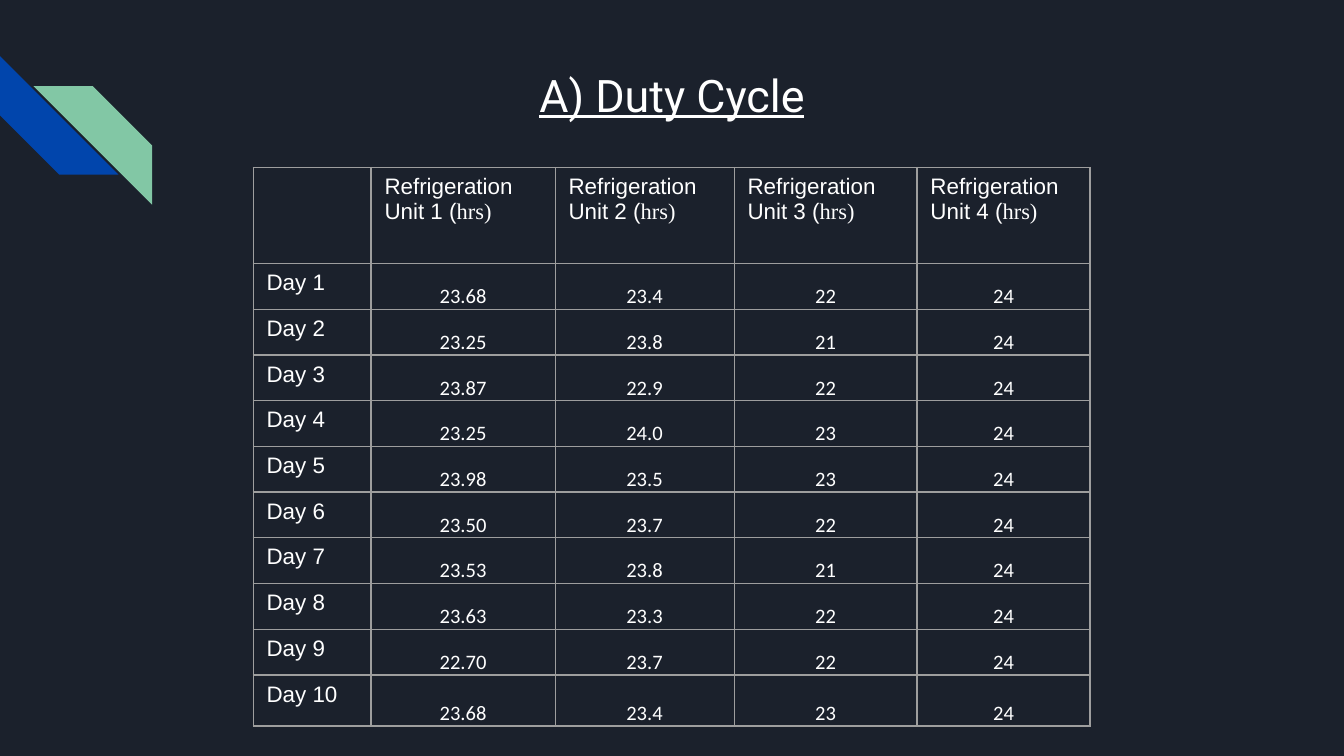
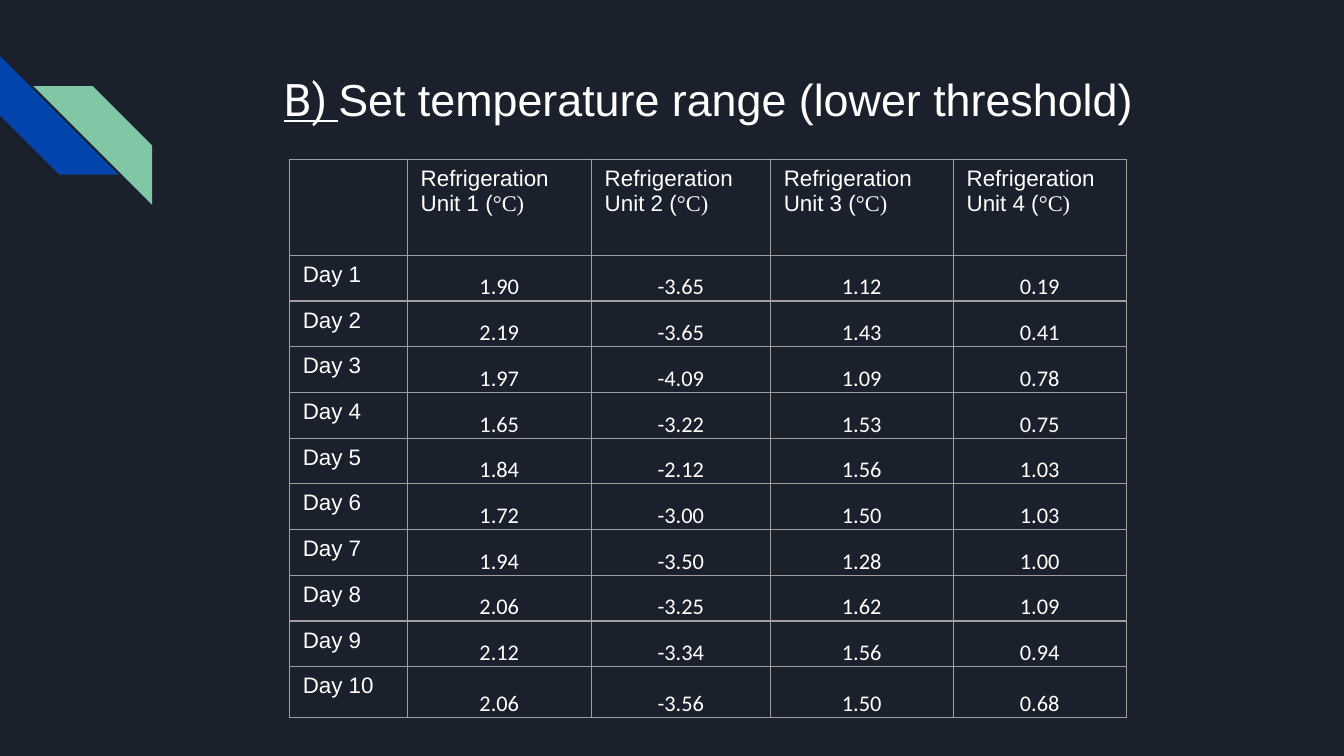
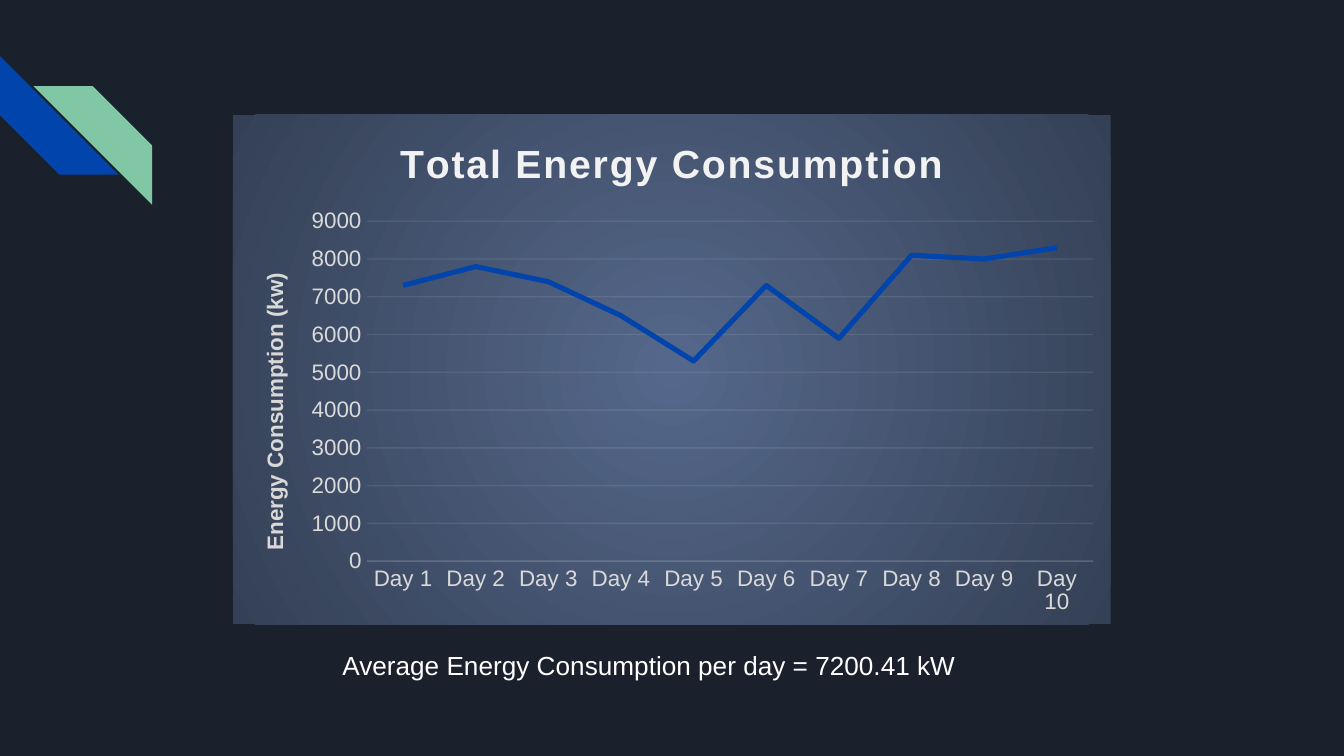
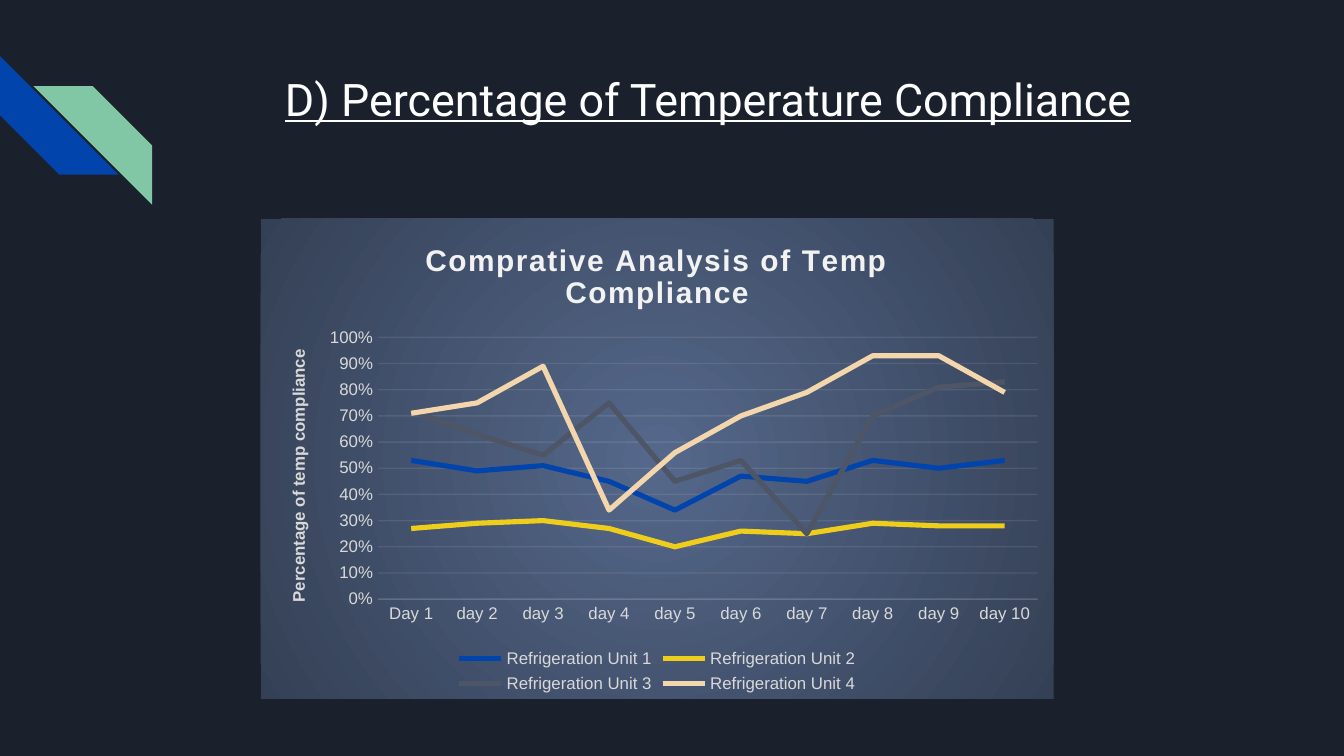
from lxml import etree
from pptx import Presentation
from pptx.chart.data import CategoryChartData
from pptx.dml.color import RGBColor
from pptx.enum.chart import XL_CHART_TYPE, XL_LEGEND_POSITION, XL_MARKER_STYLE, XL_TICK_MARK
from pptx.enum.shapes import MSO_SHAPE
from pptx.enum.text import MSO_ANCHOR, MSO_AUTO_SIZE, PP_ALIGN
from pptx.oxml import parse_xml
from pptx.util import Pt

CENTER = PP_ALIGN.CENTER
TOP, BOTTOM = MSO_ANCHOR.TOP, MSO_ANCHOR.BOTTOM
LINE = XL_CHART_TYPE.LINE
STRIPE = MSO_SHAPE.DIAGONAL_STRIPE
NO_TICK = XL_TICK_MARK.NONE
NO_MARKER = XL_MARKER_STYLE.NONE
LEGEND_BOTTOM = XL_LEGEND_POSITION.BOTTOM

COLORS = {
    "navy": "1B212C", "blue": "0145AC", "green": "82C7A5", "yellow": "EECE1A",
    "slate": "4E5567", "sand": "F4D6AD", "white": "FFFFFF", "border": "9E9E9E",
    "label": "D9D9D9", "chart_title": "F2F2F2",
    "glow": "55688B", "edge": "344055",
}
SERIES_COLORS = ["blue", "yellow", "slate", "sand"]
HEADING, SANS, SERIF, NUMBERS = "Roboto", "Arial", "Times New Roman", "Calibri"
NS_A = "http://schemas.openxmlformats.org/drawingml/2006/main"
NS_C = "http://schemas.openxmlformats.org/drawingml/2006/chart"

# Table grid, in points
COL_WIDTHS = [63.2, 98.6, 95.9, 98, 92.7]
ROW_HEIGHTS = [51.5] + [24.5] * 9 + [27.3]

UNITS = [f"Refrigeration Unit {n}" for n in range(1, 5)]
DAYS = [f"Day {n}" for n in range(1, 11)]

DUTY_HOURS = [
    ["23.68", "23.4", "22", "24"], ["23.25", "23.8", "21", "24"],
    ["23.87", "22.9", "22", "24"], ["23.25", "24.0", "23", "24"],
    ["23.98", "23.5", "23", "24"], ["23.50", "23.7", "22", "24"],
    ["23.53", "23.8", "21", "24"], ["23.63", "23.3", "22", "24"],
    ["22.70", "23.7", "22", "24"], ["23.68", "23.4", "23", "24"],
]
LOWER_TEMPS = [
    ["1.90", "-3.65", "1.12", "0.19"], ["2.19", "-3.65", "1.43", "0.41"],
    ["1.97", "-4.09", "1.09", "0.78"], ["1.65", "-3.22", "1.53", "0.75"],
    ["1.84", "-2.12", "1.56", "1.03"], ["1.72", "-3.00", "1.50", "1.03"],
    ["1.94", "-3.50", "1.28", "1.00"], ["2.06", "-3.25", "1.62", "1.09"],
    ["2.12", "-3.34", "1.56", "0.94"], ["2.06", "-3.56", "1.50", "0.68"],
]
ENERGY = [7300, 7800, 7400, 6500, 5300, 7300, 5900, 8100, 8000, 8300]
COMPLIANCE = [
    [0.53, 0.49, 0.51, 0.45, 0.34, 0.47, 0.45, 0.53, 0.5, 0.53],
    [0.27, 0.29, 0.3, 0.27, 0.2, 0.26, 0.25, 0.29, 0.28, 0.28],
    [0.72, 0.63, 0.55, 0.75, 0.45, 0.53, 0.25, 0.7, 0.81, 0.83],
    [0.71, 0.75, 0.89, 0.34, 0.56, 0.7, 0.79, 0.93, 0.93, 0.79],
]


def rgb(name):
    return RGBColor.from_string(COLORS[name])


def style_font(font, size, color, name=SANS, bold=False):
    font.size, font.name, font.bold = Pt(size), name, bold
    font.color.rgb = rgb(color)


def add_run(p, text, size, name=SANS, color="white", bold=False, underline=False):
    r = p.add_run()
    r.text = text
    style_font(r.font, size, color, name, bold)
    if underline:
        r.font.underline = True


# Shared look: background and corner stripes live on the layout
def add_stripe(slide, layout, number, left, top, color, rotation=0, flip=False):
    sp = slide.shapes.add_shape(STRIPE, Pt(left), Pt(top), Pt(63.5), Pt(63.5))
    sp.shadow.inherit = False
    sp.fill.solid()
    sp.fill.fore_color.rgb = rgb(color)
    sp.line.fill.background()
    sp.rotation = rotation
    if flip:
        sp.element.xpath(".//a:xfrm")[0].set("flipH", "1")
    sp.element.xpath(".//p:cNvPr")[0].set("id", str(100 + number))
    layout.shapes.element.append(sp.element)


def style_layout(slide, layout):
    layout.background.fill.solid()
    layout.background.fill.fore_color.rgb = rgb("navy")
    add_stripe(slide, layout, 1, 0, 30, "blue", rotation=270)
    add_stripe(slide, layout, 2, 18, 46.2, "green", flip=True)


def set_title(slide, left, top, runs):
    """Fill the title from (text, font, underlined) runs."""
    sp = slide.shapes.title
    sp.left, sp.top, sp.width, sp.height = Pt(left), Pt(top), Pt(554.4), Pt(72)
    tf = sp.text_frame
    tf.word_wrap, tf.auto_size, tf.vertical_anchor = True, MSO_AUTO_SIZE.NONE, TOP
    tf.margin_left = tf.margin_right = tf.margin_top = tf.margin_bottom = Pt(7.2)
    p = tf.paragraphs[0]
    p.alignment = CENTER
    for text, font, underlined in runs:
        add_run(p, text, 24, font, underline=underlined)


# Tables
def add_borders(tc_pr):
    for i, side in enumerate(("lnL", "lnR", "lnT", "lnB")):
        ln = etree.Element(f"{{{NS_A}}}{side}", w=str(Pt(0.75)))
        fill = etree.SubElement(ln, f"{{{NS_A}}}solidFill")
        etree.SubElement(fill, f"{{{NS_A}}}srgbClr", val=COLORS["border"])
        tc_pr.insert(i, ln)


def fill_number(cell, text, size):
    cell.vertical_anchor = BOTTOM
    cell.margin_left = cell.margin_right = cell.margin_top = Pt(0.75)
    cell.margin_bottom = 0
    p = cell.text_frame.paragraphs[0]
    p.alignment = CENTER
    add_run(p, text, size, NUMBERS)


def add_unit_table(slide, left, top, measure, rows, number_size):
    frame = slide.shapes.add_table(len(ROW_HEIGHTS), len(COL_WIDTHS), Pt(left), Pt(top),
                                   Pt(sum(COL_WIDTHS)), Pt(sum(ROW_HEIGHTS)))
    table = frame.table
    table.first_row = table.horz_banding = False
    for column, width in zip(table.columns, COL_WIDTHS):
        column.width = Pt(width)
    for row, height in zip(table.rows, ROW_HEIGHTS):
        row.height = Pt(height)
    for cell in table.iter_cells():
        cell.fill.background()

    for c, unit in enumerate(UNITS, 1):
        p = table.cell(0, c).text_frame.paragraphs[0]
        add_run(p, f"{unit} (", 12)
        add_run(p, f"{measure})", 12, SERIF)
    for r, (day, values) in enumerate(zip(DAYS, rows), 1):
        add_run(table.cell(r, 0).text_frame.paragraphs[0], day, 12)
        for c, value in enumerate(values, 1):
            fill_number(table.cell(r, c), value, number_size)
    for tc_pr in frame.element.xpath(".//a:tcPr"):
        add_borders(tc_pr)


# Charts
def add_glow(chart):
    """Give the chart area a radial gradient without an outline."""
    sp_pr = parse_xml(
        f'<c:spPr xmlns:c="{NS_C}" xmlns:a="{NS_A}"><a:gradFill><a:gsLst>'
        f'<a:gs pos="0"><a:srgbClr val="{COLORS["glow"]}"/></a:gs>'
        f'<a:gs pos="100000"><a:srgbClr val="{COLORS["edge"]}"/></a:gs></a:gsLst>'
        '<a:path path="circle"><a:fillToRect l="50000" t="50000" r="50000" b="50000"/>'
        '</a:path></a:gradFill><a:ln><a:noFill/></a:ln></c:spPr>')
    chart.element.xpath("c:chart")[0].addnext(sp_pr)


def style_axis(axis, size):
    axis.major_tick_mark = axis.minor_tick_mark = NO_TICK
    style_font(axis.tick_labels.font, size, "label")


def style_faint_line(line):
    line.color.rgb = rgb("chart_title")
    line.width = Pt(0.75)


def add_line_chart(slide, box, title, title_size, axis_title, label_size,
                   days, series, top_value, step, number_format):
    data = CategoryChartData()
    data.categories = days
    for name, values in series:
        data.add_series(name, values)
    chart = slide.shapes.add_chart(LINE, *map(Pt, box), data).chart
    style_font(chart.font, 10, "navy")
    add_glow(chart)

    chart.has_title = True
    chart.chart_title.include_in_layout = False
    add_run(chart.chart_title.text_frame.paragraphs[0], title, title_size,
            color="chart_title", bold=True)
    chart.element.xpath("c:chart/c:title//a:r/a:rPr")[0].set("spc", "100")

    cat_axis, val_axis = chart.category_axis, chart.value_axis
    style_axis(cat_axis, label_size)
    style_faint_line(cat_axis.format.line)
    style_axis(val_axis, label_size)
    val_axis.format.line.fill.background()
    val_axis.minimum_scale, val_axis.maximum_scale = 0, top_value
    val_axis.major_unit = step
    val_axis.tick_labels.number_format = number_format
    val_axis.tick_labels.number_format_is_linked = False
    style_faint_line(val_axis.major_gridlines.format.line)
    add_run(val_axis.axis_title.text_frame.paragraphs[0], axis_title, label_size,
            color="label", bold=True)
    # Axis line and gridlines are 10 % opaque
    for clr in chart.element.xpath(f".//a:ln//a:srgbClr[@val='{COLORS['chart_title']}']"):
        etree.SubElement(clr, f"{{{NS_A}}}alpha", val="10000")

    plot = chart.plots[0]
    plot.vary_by_categories = False
    for ser, color in zip(plot.series, SERIES_COLORS):
        ser.smooth = False
        ser.marker.style = NO_MARKER
        ser.format.line.color.rgb = rgb(color)
        ser.format.line.width = Pt(2.75)

    chart.has_legend = len(series) > 1
    if chart.has_legend:
        chart.legend.position = LEGEND_BOTTOM
        chart.legend.include_in_layout = False
        style_font(chart.legend.font, label_size, "label")


def add_caption(slide, text):
    tf = slide.shapes.add_textbox(Pt(64), Pt(344.2), Pt(567.4), Pt(24.5)).text_frame
    tf.word_wrap, tf.auto_size = True, MSO_AUTO_SIZE.SHAPE_TO_FIT_TEXT
    p = tf.paragraphs[0]
    p.alignment = CENTER
    add_run(p, text, 14)


def main():
    prs = Presentation()
    prs.slide_width, prs.slide_height = Pt(720), Pt(405)
    layout = prs.slide_layouts[5]
    duty, temps, energy, compliance = [prs.slides.add_slide(layout) for _ in range(4)]
    style_layout(duty, layout)

    # Duty cycle
    set_title(duty, 82.8, 28.8, [("A) Duty Cycle", HEADING, True)])
    add_unit_table(duty, 135.6, 89.7, "hrs", DUTY_HOURS, 11)

    # Lower temperature threshold
    set_title(temps, 102.2, 31, [("B) ", HEADING, True),
                                 ("Set temperature range (lower threshold)", SANS, False)])
    add_unit_table(temps, 155, 85.3, "°C", LOWER_TEMPS, 12)

    # Energy consumption
    title = energy.shapes.title.element
    title.getparent().remove(title)
    add_line_chart(energy, (124.8, 61.6, 470.2, 272.9), "Total Energy Consumption", 21,
                   "Energy Consumption (kw)", 12, DAYS, [("Series 1", ENERGY)],
                   9000, 1000, "General")
    add_caption(energy, "Average Energy Consumption per day = 7200.41 kW")

    # Temperature compliance
    set_title(compliance, 102.2, 31,
              [("D) Percentage of Temperature Compliance", HEADING, True)])
    add_line_chart(compliance, (139.6, 117.3, 424.8, 257), "Comprative Analysis of Temp Compliance",
                   16, "Percentage of temp compliance", 9,
                   DAYS[:1] + [day.lower() for day in DAYS[1:]],
                   list(zip(UNITS, COMPLIANCE)), 1, 0.1, "0%")

    prs.save("out.pptx")


if __name__ == "__main__":
    main()
